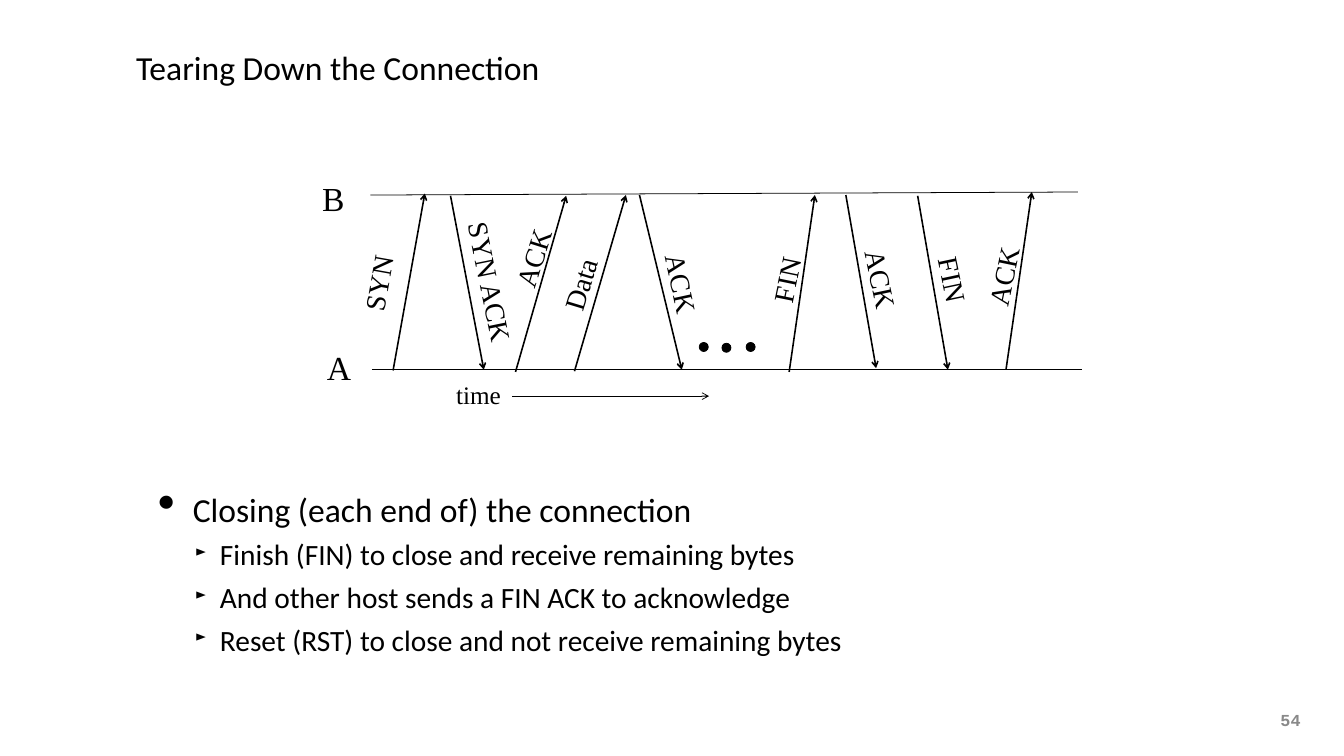
from lxml import etree
from pptx import Presentation
from pptx.dml.color import RGBColor
from pptx.enum import shapes, text
from pptx.oxml.ns import qn
from pptx.util import Inches, Pt

BLACK = RGBColor(0x00, 0x00, 0x00)
GRAY = RGBColor(0x89, 0x89, 0x89)
SANS, SERIF, MONO = "Calibri", "Times New Roman", "Courier New"

TITLE = "Tearing Down the Connection"
PAGE_NUMBER = "54"
# level, text
POINTS = [
    (0, "Closing (each end of) the connection"),
    (1, "Finish (FIN) to close and receive remaining bytes"),
    (1, "And other host sends a FIN ACK to acknowledge"),
    (1, "Reset (RST) to close and not receive remaining bytes"),
]
# size, left margin, hanging indent, bullet, bullet size in percent
LEVELS = [(32, 0.81, -0.46, "•", 150), (28, 1.17, -0.33, "►", 50)]

# label, arrow start, arrow end, label centre, label rotation
MESSAGES = [
    ("SYN", (5.2, 4.9), (5.62, 2.56), (5, 3.74), 280.1),
    ("SYN ACK", (5.96, 2.59), (6.4, 4.89), (6.49, 3.73), 78.5),
    ("ACK", (6.82, 4.92), (7.49, 2.59), (7.05, 3.41), 287.4),
    ("Data", (7.6, 4.91), (8.28, 2.58), (7.67, 3.76), 286.7),
    ("ACK", (8.46, 2.58), (9.02, 4.89), (9.02, 3.75), 77.9),
    ("FIN", (10.44, 4.92), (10.78, 2.58), (10.4, 3.7), 281.6),
    ("ACK", (11.19, 2.58), (11.59, 4.87), (11.66, 3.69), 78.1),
    ("FIN", (12.14, 2.59), (12.54, 4.89), (12.61, 3.7), 78.1),
    ("ACK", (13.31, 4.88), (13.65, 2.54), (13.27, 3.65), 281.6),
]
LABEL_WIDTHS = {"SYN": 0.95, "SYN ACK": 1.81, "ACK": 0.99, "Data": 0.91, "FIN": 0.81}
LABEL_HEIGHT = 0.55
HOST_LINES = [((4.9, 2.58), (14.26, 2.54)), ((4.92, 4.89), (14.32, 4.89))]
TIME_ARROW = ((6.78, 5.24), (9.38, 5.24))
# text, place, size
AXIS_LABELS = [
    ("time", (5.93, 4.97, 0.8, 0.5), 24),
    ("A", (4.22, 4.54, 0.53, 0.64), 32),
    ("B", (4.16, 2.3, 0.5, 0.64), 32),
]
DOT_SIZE = 0.12
DOTS = [(9.25, 4.53), (9.55, 4.54), (9.87, 4.53)]


def style(paragraph, size, name, color=BLACK, bold=False):
    for run in paragraph.runs:
        run.font.size = Pt(size)
        run.font.name = name
        run.font.color.rgb = color
        run.font.bold = bold


def add_text(slide, place, words, size, name, color=BLACK, bold=False, inset=None,
             anchor=text.MSO_ANCHOR.MIDDLE, wrap=False, align=text.PP_ALIGN.LEFT):
    box = slide.shapes.add_textbox(*map(Inches, place))
    frame = box.text_frame
    frame.word_wrap = wrap
    frame.auto_size = text.MSO_AUTO_SIZE.NONE if wrap else text.MSO_AUTO_SIZE.SHAPE_TO_FIT_TEXT
    frame.vertical_anchor = anchor
    if inset is not None:
        frame.margin_left = frame.margin_right = Inches(inset)
        frame.margin_top = frame.margin_bottom = Inches(inset)
    frame.text = words
    frame.paragraphs[0].alignment = align
    style(frame.paragraphs[0], size, name, color, bold)
    return box


def add_line(slide, start, end, width, arrow=False):
    line = slide.shapes.add_connector(
        shapes.MSO_CONNECTOR.STRAIGHT, *map(Inches, (*start, *end)))
    line.line.color.rgb = BLACK
    line.line.width = Pt(width)
    if arrow:
        etree.SubElement(line.line._get_or_add_ln(), qn("a:tailEnd"), type="arrow")
    etree.SubElement(line._element.spPr, qn("a:effectLst"))


def add_dot(slide, left, top):
    dot = slide.shapes.add_shape(
        shapes.MSO_SHAPE.OVAL, *map(Inches, (left, top, DOT_SIZE, DOT_SIZE)))
    dot.shadow.inherit = False
    dot.fill.solid()
    dot.fill.fore_color.rgb = BLACK
    dot.line.color.rgb = BLACK
    dot.line.width = Pt(0.75)


def add_points(slide):
    box = add_text(slide, (1.74, 2.4, 14.31, 6.29), "", 32, SANS, inset=0,
                   anchor=text.MSO_ANCHOR.BOTTOM, wrap=True)
    frame = box.text_frame
    for index, (level, words) in enumerate(POINTS):
        size, margin, indent, bullet, percent = LEVELS[level]
        point = frame.add_paragraph() if index else frame.paragraphs[0]
        point.text = words
        point.level = level
        if index:
            point.space_before = Pt(7)
        props = point._p.get_or_add_pPr()
        props.set("marL", str(Inches(margin)))
        props.set("indent", str(Inches(indent)))
        etree.SubElement(props, qn("a:buSzPct"), val=str(percent * 1000))
        etree.SubElement(props, qn("a:buChar"), char=bullet)
        style(point, size, SANS)


def main():
    deck = Presentation()
    deck.slide_width, deck.slide_height = Inches(17.78), Inches(10)
    slide = deck.slides.add_slide(deck.slide_layouts[6])

    add_text(slide, (16.94, 9.39, 0.46, 0.5), PAGE_NUMBER, 16, MONO, GRAY, bold=True,
             inset=0, anchor=text.MSO_ANCHOR.TOP)
    add_points(slide)
    add_text(slide, (1.74, 0, 14.31, 1.78), TITLE, 32, SANS, inset=0.06, wrap=True)

    for start, end in HOST_LINES:
        add_line(slide, start, end, 0.75)
    add_line(slide, *TIME_ARROW, 0.75, arrow=True)
    for words, place, size in AXIS_LABELS:
        add_text(slide, place, words, size, SERIF, align=text.PP_ALIGN.CENTER)

    for label, start, end, (x, y), rotation in MESSAGES:
        add_line(slide, start, end, 1.5, arrow=True)
        width = LABEL_WIDTHS[label]
        place = (x - width / 2, y - LABEL_HEIGHT / 2, width, LABEL_HEIGHT)
        box = add_text(slide, place, label, 26.7, SERIF, align=text.PP_ALIGN.CENTER)
        box.rotation = rotation

    for left, top in DOTS:
        add_dot(slide, left, top)

    deck.save("out.pptx")


if __name__ == "__main__":
    main()
